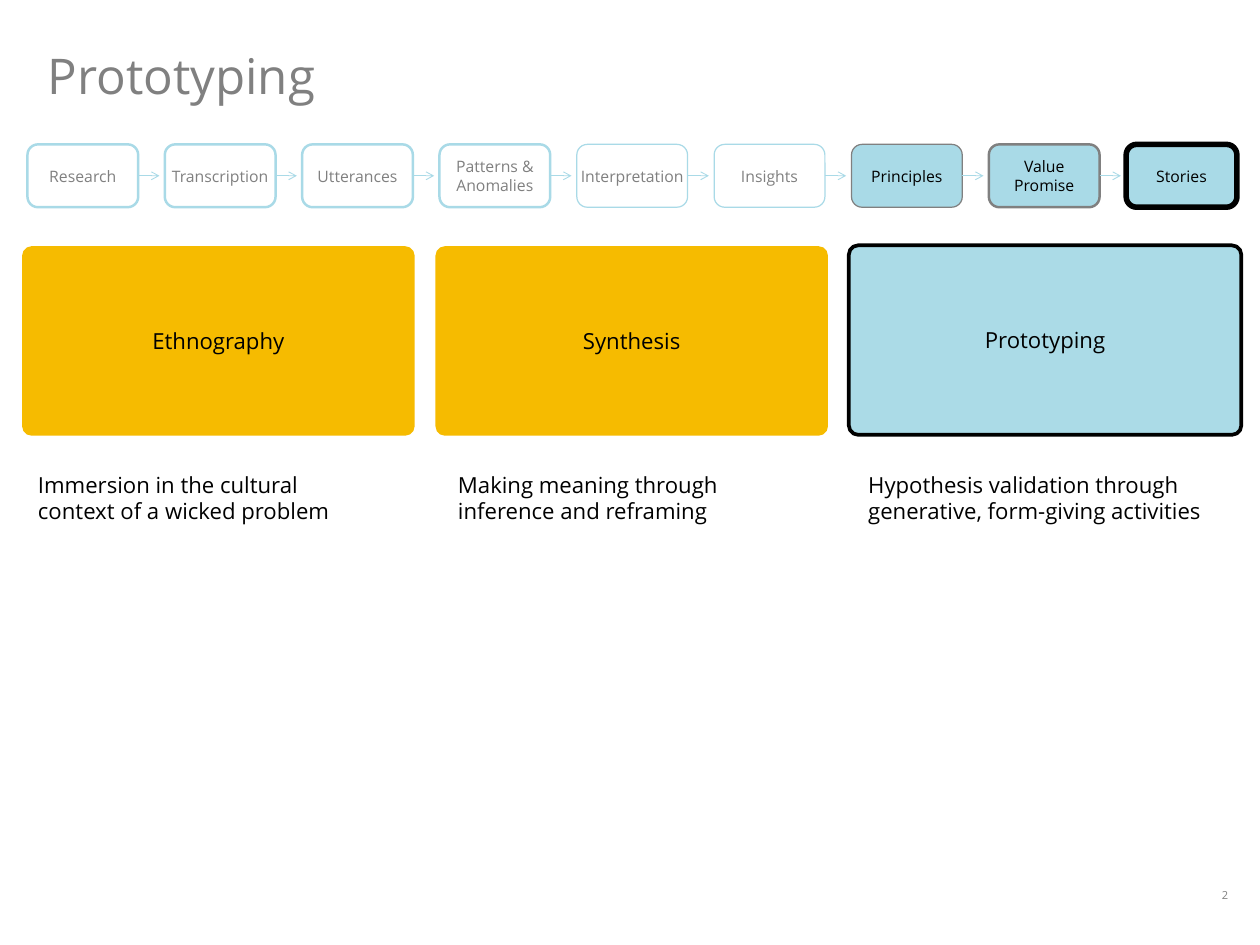
"""Build the Prototyping process slide."""
from lxml import etree
from pptx import Presentation
from pptx.dml.color import RGBColor
from pptx.enum.shapes import MSO_CONNECTOR, MSO_SHAPE
from pptx.enum.text import MSO_ANCHOR, PP_ALIGN
from pptx.oxml.ns import qn
from pptx.util import Inches, Pt

ROUND = MSO_SHAPE.ROUNDED_RECTANGLE
STRAIGHT = MSO_CONNECTOR.STRAIGHT
TOP, MIDDLE = MSO_ANCHOR.TOP, MSO_ANCHOR.MIDDLE
LEFT, CENTER = PP_ALIGN.LEFT, PP_ALIGN.CENTER
HUES = {"gray": "808080", "black": "000000", "white": "FFFFFF",
        "pale": "A9DAE7", "teal": "6FC2D7", "gold": "F6BB00"}
WIDE, HIGH = 14.22, 10.67

deck = Presentation()
deck.slide_width, deck.slide_height = Inches(WIDE), Inches(HIGH)
slide = deck.slides.add_slide(deck.slide_layouts[6])
shapes = slide.shapes


def write(shape, text, size, hue, align=LEFT, anchor=TOP, **inset):
    frame = shape.text_frame
    frame.text = text
    form = {"word_wrap": True, "vertical_anchor": anchor, **inset}
    for key, value in form.items():
        setattr(frame, key, value)
    for para in frame.paragraphs:
        para.alignment = align
        look = {"name": "Open Sans", "size": Pt(size)}
        for key, value in look.items():
            setattr(para.font, key, value)
        para.font.color.rgb = RGBColor.from_string(HUES[hue])


def block(spot, fill, edge, weight, round_by):
    shape = shapes.add_shape(ROUND, *map(Inches, spot))
    shape.shadow.inherit = False
    shape.adjustments[0] = round_by
    for part, hue in ((shape.fill, fill), (shape.line.fill, edge)):
        if hue:
            part.solid()
            part.fore_color.rgb = RGBColor.from_string(HUES[hue])
        else:
            part.background()
    if edge:
        shape.line.width = Pt(weight)
    return shape


title = shapes.add_textbox(*map(Inches, (0.54, 0.51, WIDE - 1.55, 0.67)))
write(title, "Prototyping", 40, "gray", anchor=MIDDLE, margin_left=0,
      margin_right=0, margin_top=0, margin_bottom=0)
number = shapes.add_textbox(*map(Inches, (13.57, 9.98, 0.51, 0.3)))
write(number, "2", 9, "gray", CENTER)

steps = [
    ("Research", "white", "pale", 2, "gray"),
    ("Transcription", "white", "pale", 2, "gray"),
    ("Utterances", "white", "pale", 2, "gray"),
    ("Patterns & Anomalies", None, "pale", 2, "gray"),
    ("Interpretation", None, "pale", 1, "gray"),
    ("Insights", None, "pale", 1, "gray"),
    ("Principles", "pale", "gray", 1, "black"),
    ("Value\nPromise", "pale", "gray", 2, "black"),
    ("Stories", "pale", "black", 4.5, "black"),
]
pitch, width, height, top, gap = 1.55, 1.25, 0.71, 1.63, 0.24
for col, (text, fill, edge, weight, ink) in enumerate(steps):
    left = 0.31 + col * pitch
    step = block((left, top, width, height), fill, edge, weight, 0.167)
    write(step, text, 12.8, ink, CENTER, MIDDLE, margin_left=0, margin_right=0)
    if col < len(steps) - 1:
        right, mid = left + width, top + height / 2
        arrow = shapes.add_connector(
            STRAIGHT, *map(Inches, (right, mid, right + gap, mid)))
        arrow.begin_connect(step, 3)
        arrow.line.width = Pt(0.75)
        arrow.line.color.rgb = RGBColor.from_string(HUES["pale"])
        etree.SubElement(arrow.line._get_or_add_ln(), qn("a:tailEnd"), type="arrow")
        etree.SubElement(arrow._element.spPr, qn("a:effectLst"))

cards = [
    ("Ethnography", "gold", None, 2.78, 0.33,
     "Immersion in the cultural context of a wicked problem"),
    ("Synthesis", "gold", None, 2.78, 5.07,
     "Making meaning through inference and reframing"),
    ("Prototyping", "teal", "black", 2.77, 9.7,
     "Hypothesis validation through generative, form-giving activities"),
]
for col, (name, fill, edge, above, start, note) in enumerate(cards):
    card = block((0.25 + col * 4.665, above, 4.43, 2.14), fill, edge, 3, 0.05)
    write(card, name, 18, "black", CENTER, MIDDLE)
    if fill == "teal":
        tint = card._element.spPr.find(qn("a:solidFill"))[0]
        etree.SubElement(tint, qn("a:alpha"), val="58000")
    label = shapes.add_textbox(*map(Inches, (start, 5.27, 4.02, 0.71)))
    write(label, note, 18, "black")

deck.save("out.pptx")
